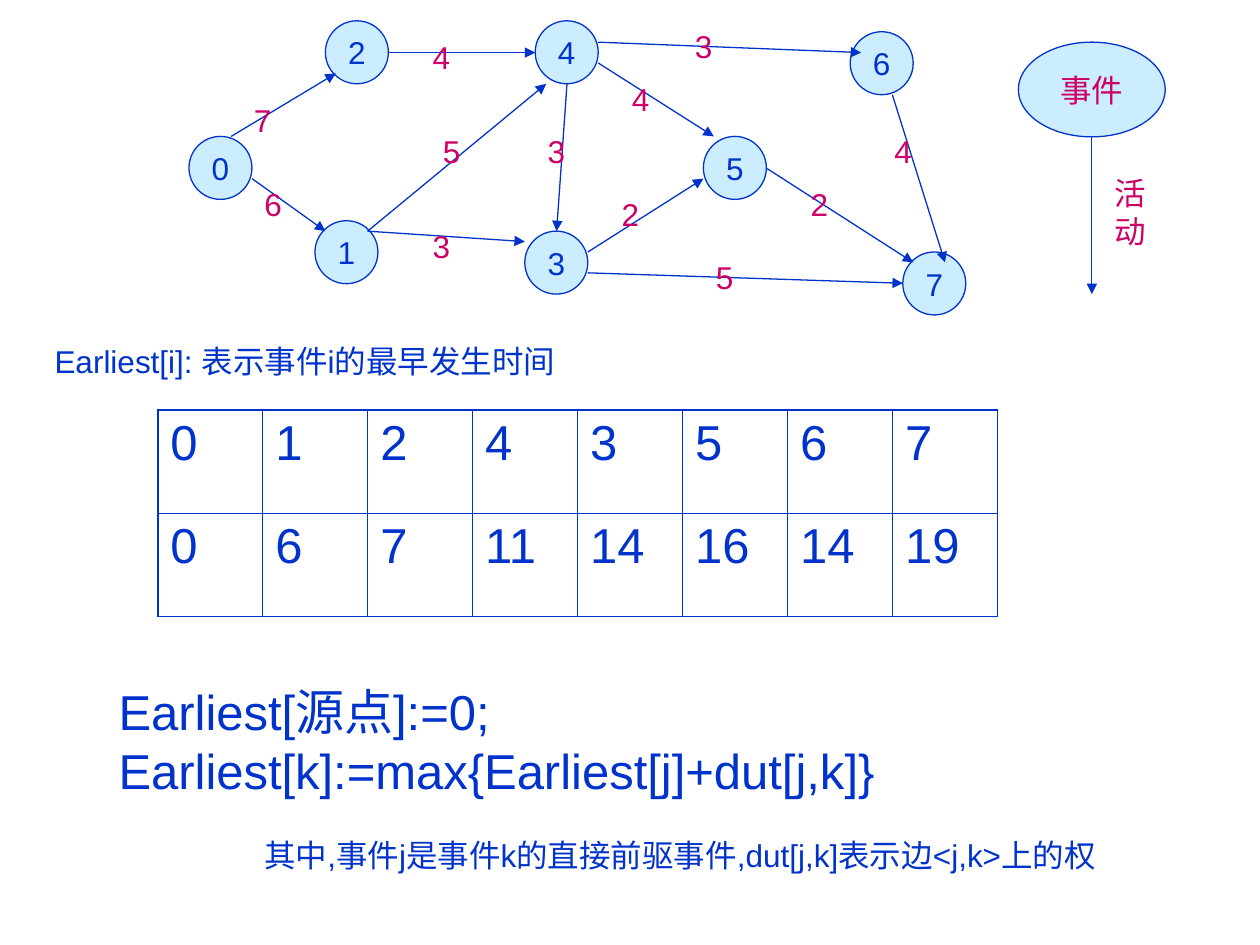
from lxml.etree import SubElement
from pptx import Presentation
from pptx.dml.color import RGBColor
from pptx.enum.shapes import MSO_CONNECTOR as Connector, MSO_SHAPE as Shape
from pptx.enum.text import MSO_ANCHOR as Anchor, MSO_AUTO_SIZE as AutoSize, PP_ALIGN as Align
from pptx.oxml.ns import qn
from pptx.util import Cm, Pt

COLORS = {"ink": "0033CC", "accent": "CC0066", "node": "CCECFF"}
FONT = "Arial"

# All positions are in grid steps of one twelfth of an inch.
NODE_SIZE = 6
NODES = {"0": (18, 13), "2": (31, 2), "1": (30, 21), "4": (51, 2),
         "3": (50, 22), "5": (67, 13), "6": (81, 3), "7": (86, 24)}
# start, end, weight, position of the weight
EDGES = [
    ((22, 13), (32, 7), "7", (23, 9)),
    ((24, 17), (31, 22), "6", (24, 17)),
    ((37, 5), (51, 5), "4", (40, 3)),
    ((35, 22), (52, 8), "5", (41, 12)),
    ((35, 22), (50, 23), "3", (40, 21)),
    ((54, 8), (53, 22), "3", (51, 12)),
    ((57, 6), (68, 13), "4", (59, 7)),
    ((56, 24), (67, 17), "2", (58, 18)),
    ((73, 16), (87, 25), "2", (76, 17)),
    ((85, 9), (90, 25), "4", (84, 12)),
    ((56, 26), (86, 27), "5", (67, 24)),
    ((57, 4), (82, 5), "3", (65, 2)),
]
EARLIEST = [
    ["0", "1", "2", "4", "3", "5", "6", "7"],
    ["0", "6", "7", "11", "14", "16", "14", "19"],
]
DEFINITION = "Earliest[i]: 表示事件i的最早发生时间"
RECURRENCE = "Earliest[源点]:=0;\nEarliest[k]:=max{Earliest[j]+dut[j,k]}"
REMARK = "其中,事件j是事件k的直接前驱事件,dut[j,k]表示边<j,k>上的权"


def grid(*steps):
    return [Cm(round(step * 2.54 / 12, 2)) for step in steps]


def rgb(name):
    return RGBColor.from_string(COLORS[name])


def write(frame, text, size, color, align=None, before=None):
    frame.text = text
    for para in frame.paragraphs:
        para.alignment = align
        if before is not None:
            para.space_before = Pt(before)
        for span in para.runs:
            span.font.size = Pt(size)
            span.font.name = FONT
            span.font.color.rgb = rgb(color)


def add_text(shapes, area, text, color="ink", size=18, before=11.2, wrap=True):
    frame = shapes.add_textbox(*grid(*area)).text_frame
    frame.word_wrap = wrap
    frame.auto_size = AutoSize.SHAPE_TO_FIT_TEXT
    write(frame, text, size, color, before=before)


def add_event(shapes, area, text, color="ink"):
    oval = shapes.add_shape(Shape.OVAL, *grid(*area))
    oval.shadow.inherit = False
    oval.fill.solid()
    oval.fill.fore_color.rgb = rgb("node")
    oval.line.color.rgb = rgb("ink")
    oval.line.width = Pt(0.75)
    frame = oval.text_frame
    frame.word_wrap = False
    frame.vertical_anchor = Anchor.MIDDLE
    write(frame, text, 18, color, Align.CENTER)


def add_arrow(shapes, start, end):
    arrow = shapes.add_connector(Connector.STRAIGHT, *grid(*start, *end))
    arrow.line.color.rgb = rgb("ink")
    arrow.line.width = Pt(0.75)
    SubElement(arrow.line._get_or_add_ln(), qn("a:tailEnd"), type="triangle")
    SubElement(arrow._element.spPr, qn("a:effectLst"))


def set_border(cell, side, width):
    line = SubElement(cell._tc.get_or_add_tcPr(), qn(f"a:ln{side}"), w=str(Pt(width)))
    fill = SubElement(line, qn("a:solidFill"))
    SubElement(fill, qn("a:srgbClr"), val=COLORS["ink"])


def add_earliest_table(shapes):
    """Draw the table with thick outer and thin inner borders."""
    rows, columns = len(EARLIEST), len(EARLIEST[0])
    table = shapes.add_table(rows, columns, *grid(15, 39, 80, 19.7)).table
    table.first_row = table.horz_banding = False
    for r, values in enumerate(EARLIEST):
        for c, value in enumerate(values):
            cell = table.cell(r, c)
            write(cell.text_frame, value, 28, "ink", before=7)
            outer = {"L": c == 0, "R": c == columns - 1,
                     "T": r == 0, "B": r == rows - 1}
            for side, is_outer in outer.items():
                set_border(cell, side, 1.08 if is_outer else 0.45)
            cell.fill.background()


def main():
    deck = Presentation()
    deck.slide_width, deck.slide_height = Cm(25.4), Cm(19.05)
    shapes = deck.slides.add_slide(deck.slide_layouts[6]).shapes

    add_event(shapes, (97, 4, 14, 9), "事件", "accent")
    add_arrow(shapes, (104, 13), (104, 28))
    add_text(shapes, (105, 16, 8, 8.4), "活动", "accent")

    graph = shapes.add_group_shape().shapes
    for name, corner in NODES.items():
        add_event(graph, (*corner, NODE_SIZE, NODE_SIZE), name)
    for start, end, _, _ in EDGES:
        add_arrow(graph, start, end)
    for _, _, weight, corner in EDGES:
        add_text(graph, (*corner, 6, 4.8), weight, "accent")

    add_earliest_table(shapes)
    add_text(shapes, (4, 32, 76, 4.8), DEFINITION)
    add_text(shapes, (10.1, 64.3, 74.4, 12.5), RECURRENCE, size=28, before=0, wrap=False)
    add_text(shapes, (24, 79, 90, 4.8), REMARK)
    deck.save("out.pptx")


if __name__ == "__main__":
    main()
